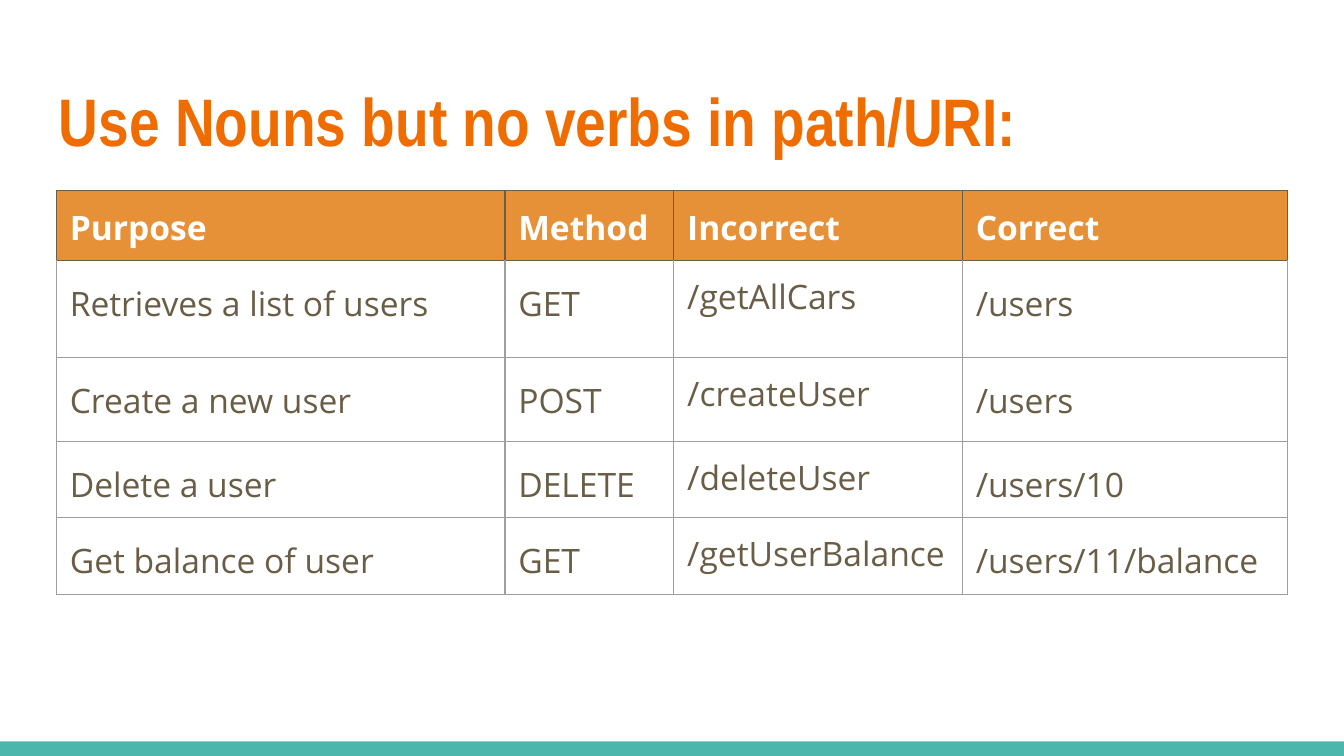
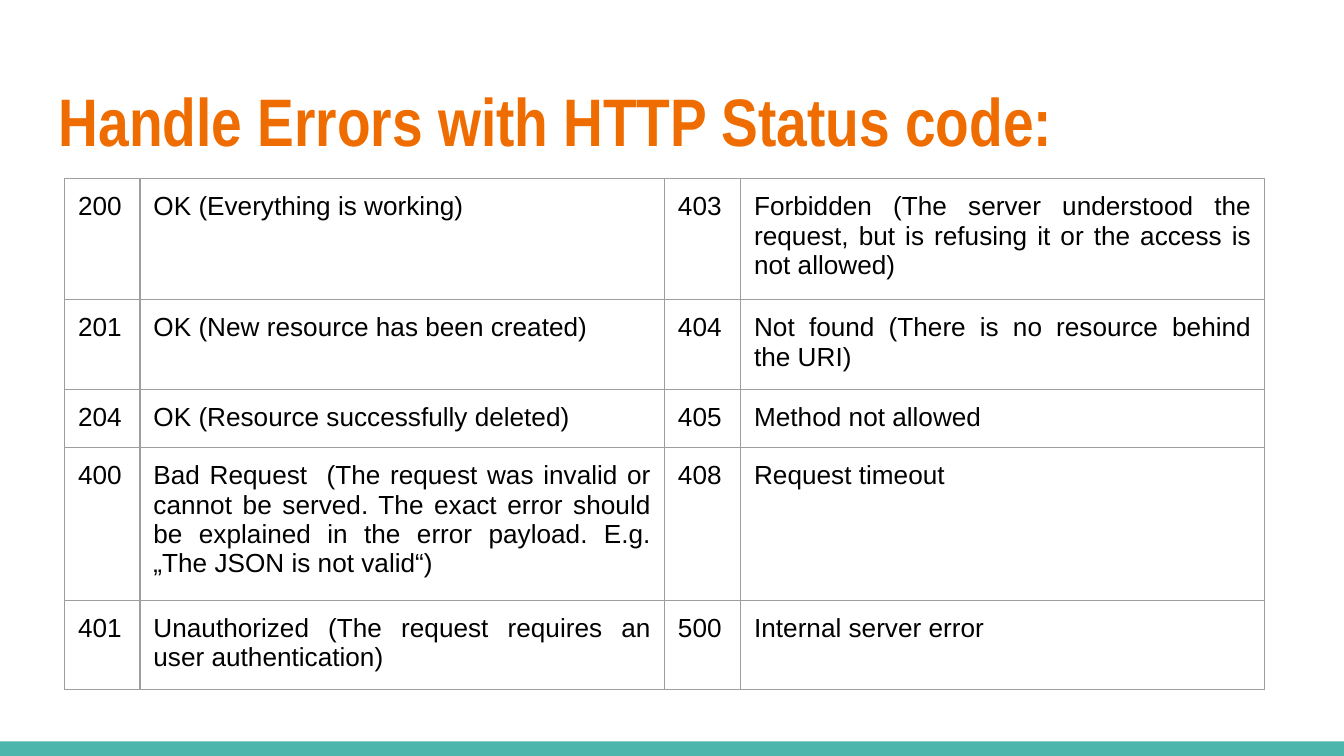
"""Build two slides on REST API conventions: resource naming and HTTP status codes."""
from dataclasses import dataclass

from lxml import etree
from pptx import Presentation
from pptx.dml.color import RGBColor
from pptx.enum.shapes import MSO_SHAPE
from pptx.enum.text import PP_ALIGN
from pptx.oxml.ns import qn
from pptx.util import Pt

RECTANGLE = MSO_SHAPE.RECTANGLE
LEFT, JUSTIFY = PP_ALIGN.LEFT, PP_ALIGN.JUSTIFY
BLANK_LAYOUT = 6


@dataclass(frozen=True)
class Theme:
    band: str = "4DB6AC"
    title: str = "EF6C00"
    header_fill: str = "E69138"
    header_text: str = "FFFFFF"
    brown: str = "695D46"
    black: str = "000000"
    grid: str = "9E9E9E"
    title_font: str = "Arial Narrow"
    naming_font: str = "Open Sans"
    status_font: str = "Arial"
    title_size: float = 36
    naming_size: float = 18
    status_size: float = 14
    border: float = 0.75
    inset: float = 7.2


THEME = Theme()
PAGE_WIDTH, PAGE_HEIGHT = 720, 405
BAND_HEIGHT = 7.8
TITLE_AREA = (24.5, 35.3, 671, 55.4)

SLIDES = [
    {
        "title": "Use Nouns but no verbs in path/URI:",
        "header": ("Purpose", "Method", "Incorrect", "Correct"),
        "rows": [
            ("Retrieves a list of users", "GET", "/getAllCars", "/users"),
            ("Create a new user", "POST", "/createUser", "/users"),
            ("Delete a user", "DELETE", "/deleteUser", "/users/10"),
            ("Get balance of user", "GET", "/getUserBalance", "/users/11/balance"),
        ],
        "corner": (30.2, 102.2),
        "widths": (240.3, 90.5, 154.6, 174.2),
        "heights": (37.4, 52, 44.8, 41, 41),
        "spacing": (1.15, 1.15, 1, 1.15),
        "align": LEFT,
        "font": (THEME.naming_font, THEME.naming_size, THEME.brown),
    },
    {
        "title": "Handle Errors with HTTP Status code:",
        "header": None,
        "rows": [
            ("200", "OK (Everything is working)", "403",
             "Forbidden (The server understood the request, but is refusing it "
             "or the access is not allowed)"),
            ("201", "OK (New resource has been created)", "404",
             "Not found (There is no resource behind the URI)"),
            ("204", "OK (Resource successfully deleted)", "405", "Method not allowed"),
            ("400",
             "Bad Request  (The request was invalid or cannot be served. The exact "
             "error should be explained in the error payload. E.g. "
             "„The JSON is not valid“)",
             "408", "Request timeout"),
            ("401", "Unauthorized (The request requires an user authentication)",
             "500", "Internal server error"),
        ],
        "corner": (34.6, 95.7),
        "widths": (40.4, 281, 40.8, 280.8),
        "heights": (27.4, 27.4, 27.4, 71.3, 26.6),
        "spacing": (1, 1, 1, 1),
        "align": JUSTIFY,
        "font": (THEME.status_font, THEME.status_size, THEME.black),
    },
]


def style_font(font, name, size, color, bold=False):
    font.name, font.size, font.bold = name, Pt(size), bold
    font.color.rgb = RGBColor.from_string(color)


def set_insets(target):
    target.margin_left = target.margin_right = Pt(THEME.inset)
    target.margin_top = target.margin_bottom = Pt(THEME.inset)


def set_borders(cell, color, top_color):
    properties = cell._tc.get_or_add_tcPr()
    for index, side in enumerate(("lnL", "lnR", "lnT", "lnB")):
        line = etree.Element(qn("a:" + side), w=str(Pt(THEME.border)))
        fill = etree.SubElement(line, qn("a:solidFill"))
        value = top_color if side == "lnT" else color
        etree.SubElement(fill, qn("a:srgbClr"), val=value)
        properties.insert(index, line)


def add_frame(page, title):
    band = page.shapes.add_shape(
        RECTANGLE, 0, Pt(PAGE_HEIGHT - BAND_HEIGHT), Pt(PAGE_WIDTH), Pt(BAND_HEIGHT))
    band.shadow.inherit = False
    band.fill.solid()
    band.fill.fore_color.rgb = RGBColor.from_string(THEME.band)
    band.line.fill.background()

    box = page.shapes.add_textbox(*map(Pt, TITLE_AREA))
    box.text_frame.word_wrap = True
    set_insets(box.text_frame)
    para = box.text_frame.paragraphs[0]
    para.text = title
    style_font(para.font, THEME.title_font, THEME.title_size, THEME.title, bold=True)


def fill_cell(cell, text, content, column, is_header):
    name, size, color = content["font"]
    cell.text = text
    set_insets(cell)
    para = cell.text_frame.paragraphs[0]
    para.alignment = content["align"]
    if is_header:
        cell.fill.solid()
        cell.fill.fore_color.rgb = RGBColor.from_string(THEME.header_fill)
        style_font(para.font, name, size, THEME.header_text, bold=True)
    else:
        cell.fill.background()
        para.line_spacing = content["spacing"][column]
        style_font(para.font, name, size, color)


def add_grid(page, content):
    has_header = content["header"] is not None
    rows = [content["header"]] * has_header + content["rows"]
    widths, heights = content["widths"], content["heights"]
    area = (*content["corner"], sum(widths), sum(heights))
    table = page.shapes.add_table(len(rows), len(widths), *map(Pt, area)).table
    table.first_row, table.horz_banding = has_header, False
    for column, width in zip(table.columns, widths):
        column.width = Pt(width)
    for row, height in zip(table.rows, heights):
        row.height = Pt(height)
    for row_index, texts in enumerate(rows):
        is_header = has_header and row_index == 0
        below_header = has_header and row_index == 1
        color = THEME.brown if is_header else THEME.grid
        top_color = THEME.brown if below_header else color
        for column, text in enumerate(texts):
            cell = table.cell(row_index, column)
            fill_cell(cell, text, content, column, is_header)
            set_borders(cell, color, top_color)


def main():
    deck = Presentation()
    deck.slide_width, deck.slide_height = Pt(PAGE_WIDTH), Pt(PAGE_HEIGHT)
    for content in SLIDES:
        page = deck.slides.add_slide(deck.slide_layouts[BLANK_LAYOUT])
        add_frame(page, content["title"])
        add_grid(page, content)
    deck.save("out.pptx")


if __name__ == "__main__":
    main()
